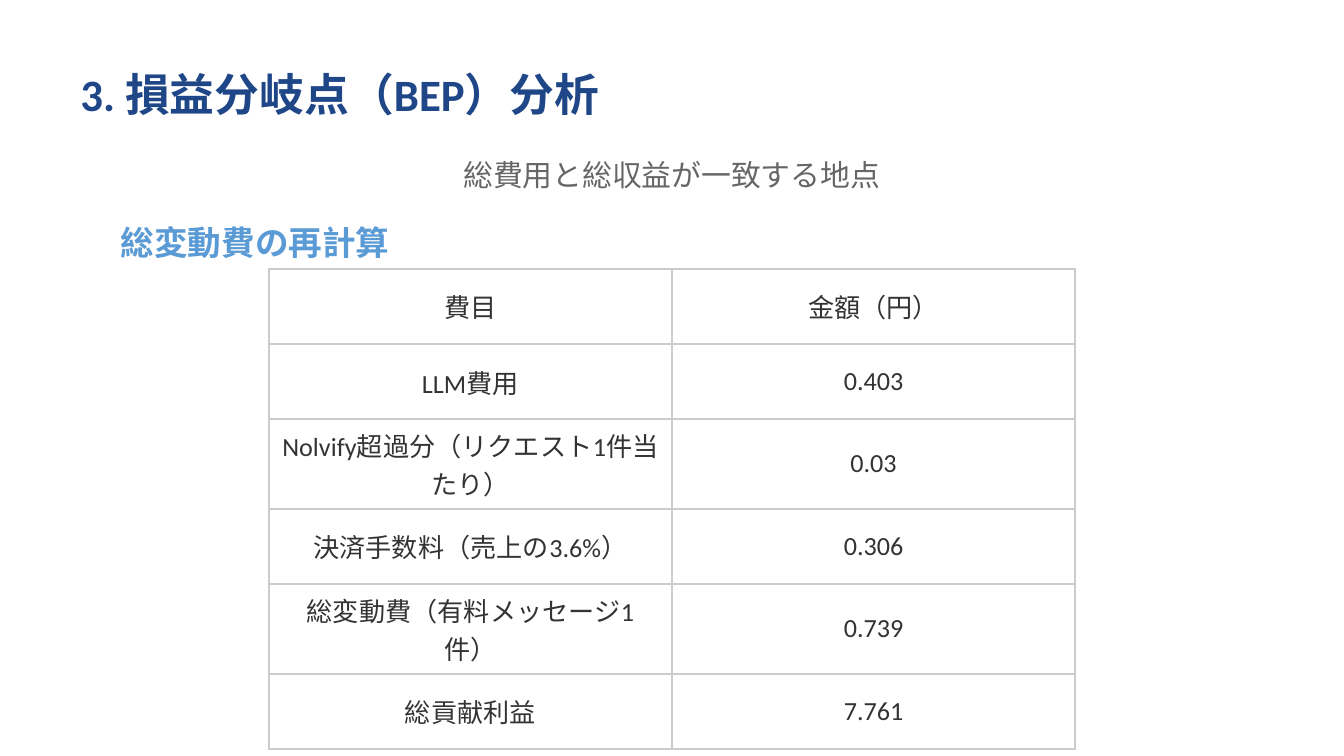
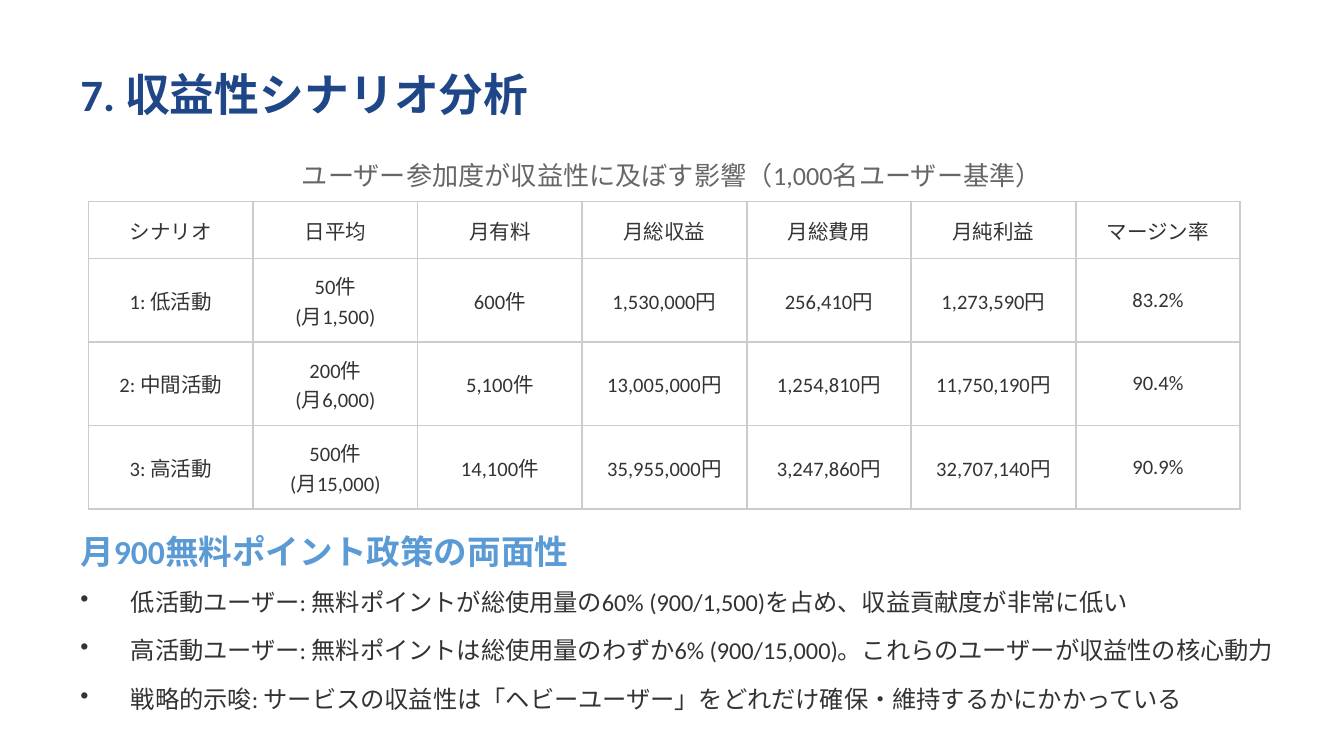
import pptx
import pptx.dml.color
import pptx.enum.text
import pptx.oxml
import pptx.oxml.ns
import pptx.util

Pt = pptx.util.Pt
RGBColor = pptx.dml.color.RGBColor
ALIGN = pptx.enum.text.PP_ALIGN
MIDDLE = pptx.enum.text.MSO_ANCHOR.MIDDLE

NAVY = RGBColor(0x1F, 0x47, 0x88)
BLUE = RGBColor(0x5B, 0x9B, 0xD5)
GREY = RGBColor(0x66, 0x66, 0x66)
INK = RGBColor(0x33, 0x33, 0x33)
RULE = RGBColor(0xCC, 0xCC, 0xCC)
WHITE = RGBColor(0xFF, 0xFF, 0xFF)

NSDECL = pptx.oxml.ns.nsdecls("a")
TITLE = {"color": NAVY, "font": {"size": Pt(24), "bold": True}}
HEADING = {"color": BLUE, "font": {"size": Pt(18), "bold": True}}
LEAD = {"color": GREY, "font": {"size": Pt(16)}, "paragraph": {"alignment": ALIGN.CENTER}}
SMALL_LEAD = {**LEAD, "font": {"size": Pt(14)}}
COST_CELL = {"color": INK, "font": {"size": Pt(14)}, "paragraph": {"alignment": ALIGN.CENTER}}
SCENARIO_CELL = {**COST_CELL, "font": {"size": Pt(11)}}
BULLETS = {"color": INK, "font": {"size": Pt(13)}, "paragraph": {"line_spacing": Pt(26)}, "bullet": "•"}

TITLE_BOX = (36, 28.8, 648, 43.2)
LEAD_BOX = (36, 79.2, 648, 28.8)


def write(frame, text, style):
    frame.word_wrap = True
    for index, line in enumerate(text.split("\n")):
        paragraph = frame.add_paragraph() if index else frame.paragraphs[0]
        paragraph.add_run().text = line
        for key, value in style.get("paragraph", {}).items():
            setattr(paragraph, key, value)
        if "bullet" in style:
            properties = paragraph._p.get_or_add_pPr()
            properties.set("marL", str(Pt(27)))
            properties.set("indent", str(-Pt(27)))
            properties.append(pptx.oxml.parse_xml(f'<a:buChar {NSDECL} char="{style["bullet"]}"/>'))
        font = paragraph.runs[0].font
        font.name = "Calibri"
        font.color.rgb = style["color"]
        for key, value in style["font"].items():
            setattr(font, key, value)


def add_grid(slide, left, top, column_width, row_heights, rows, style):
    columns = len(rows[0])
    table = slide.shapes.add_table(
        len(rows), columns, Pt(left), Pt(top), Pt(column_width * columns), Pt(sum(row_heights))
    ).table
    for column in table.columns:
        column.width = Pt(column_width)
    for row, height, values in zip(table.rows, row_heights, rows):
        row.height = Pt(height)
        for cell, value in zip(row.cells, values):
            cell.vertical_anchor = MIDDLE
            cell.fill.solid()
            cell.fill.fore_color.rgb = WHITE
            write(cell.text_frame, value, style)
            for index, side in enumerate(("lnL", "lnR", "lnT", "lnB")):
                border = pptx.oxml.parse_xml(
                    f'<a:{side} {NSDECL} w="{Pt(1)}"><a:solidFill>'
                    f'<a:srgbClr val="{RULE}"/></a:solidFill></a:{side}>'
                )
                cell._tc.get_or_add_tcPr().insert(index, border)


deck = pptx.Presentation()
deck.slide_width = Pt(720)
deck.slide_height = Pt(405)
break_even = deck.slides.add_slide(deck.slide_layouts[6])
scenarios = deck.slides.add_slide(deck.slide_layouts[6])

cost_rows = [
    ("費目", "金額（円）"),
    ("LLM費用", "0.403"),
    ("Nolvify超過分（リクエスト1件当たり）", "0.03"),
    ("決済手数料（売上の3.6%）", "0.306"),
    ("総変動費（有料メッセージ1件）", "0.739"),
    ("総貢献利益", "7.761"),
]
add_grid(break_even, 144, 144, 216, [40.3] * len(cost_rows), cost_rows, COST_CELL)

scenario_rows = [
    ("シナリオ", "日平均", "月有料", "月総収益", "月総費用", "月純利益", "マージン率"),
    ("1: 低活動", "50件\n(月1,500)", "600件", "1,530,000円", "256,410円", "1,273,590円", "83.2%"),
    ("2: 中間活動", "200件\n(月6,000)", "5,100件", "13,005,000円", "1,254,810円", "11,750,190円", "90.4%"),
    ("3: 高活動", "500件\n(月15,000)", "14,100件", "35,955,000円", "3,247,860円", "32,707,140円", "90.9%"),
]
add_grid(scenarios, 47.5, 108, 88.15, [30.5] + [44.8] * 3, scenario_rows, SCENARIO_CELL)

policy_points = "\n".join([
    "低活動ユーザー: 無料ポイントが総使用量の60% (900/1,500)を占め、収益貢献度が非常に低い",
    "高活動ユーザー: 無料ポイントは総使用量のわずか6% (900/15,000)。これらのユーザーが収益性の核心動力",
    "戦略的示唆: サービスの収益性は「ヘビーユーザー」をどれだけ確保・維持するかにかかっている",
])
for slide, box, text, style in [
    (break_even, TITLE_BOX, "3. 損益分岐点（BEP）分析", TITLE),
    (break_even, LEAD_BOX, "総費用と総収益が一致する地点", LEAD),
    (break_even, (57.6, 115.2, 604.8, 28.8), "総変動費の再計算", HEADING),
    (scenarios, TITLE_BOX, "7. 収益性シナリオ分析", TITLE),
    (scenarios, LEAD_BOX, "ユーザー参加度が収益性に及ぼす影響（1,000名ユーザー基準）", SMALL_LEAD),
    (scenarios, (36, 280.8, 604.8, 28.8), "月900無料ポイント政策の両面性", HEADING),
    (scenarios, (36, 297.4, 666, 91.4), policy_points, BULLETS),
]:
    frame = slide.shapes.add_textbox(*map(Pt, box)).text_frame
    frame.vertical_anchor = MIDDLE
    write(frame, text, style)

deck.save("out.pptx")
